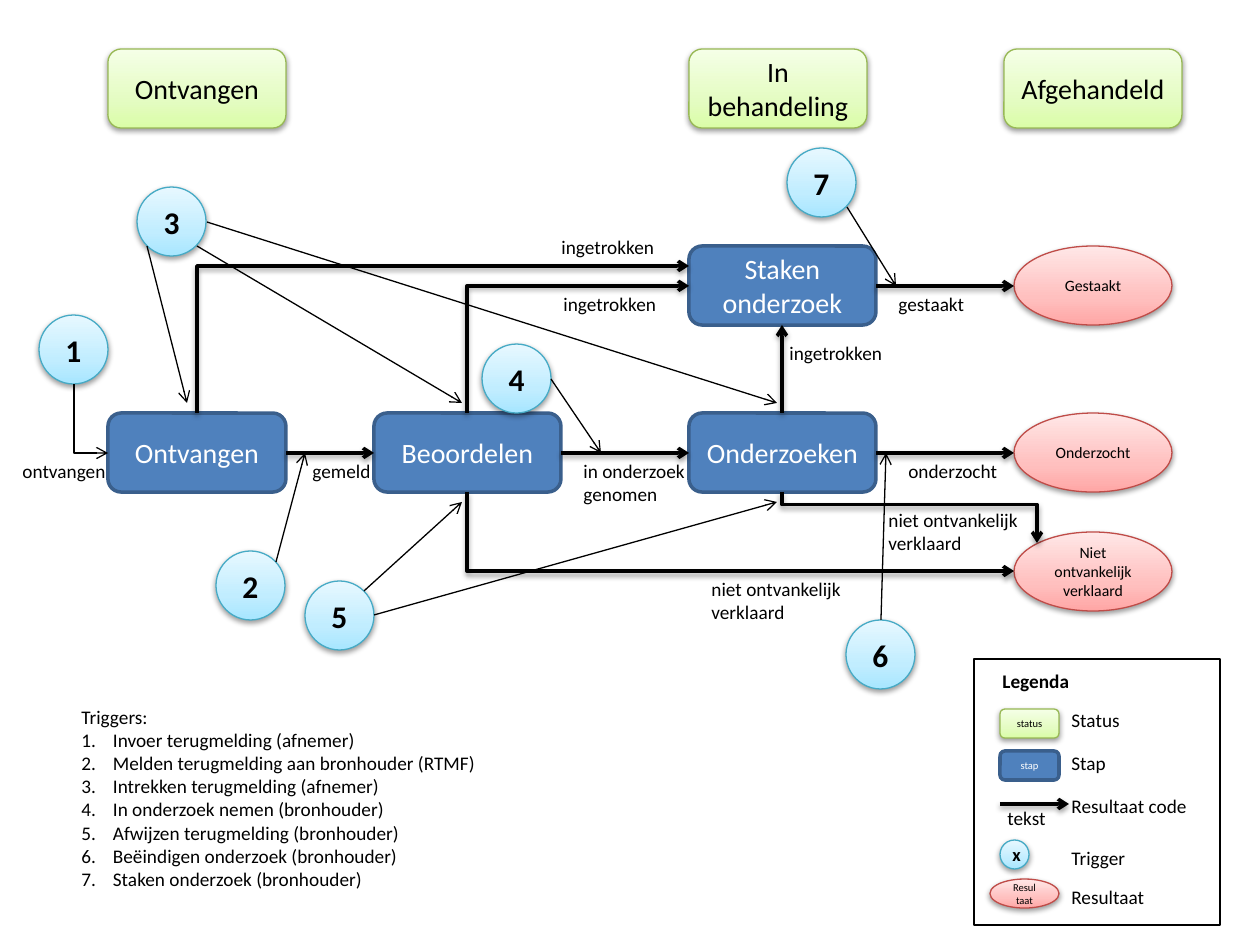
from copy import deepcopy
from dataclasses import dataclass

from lxml.etree import SubElement
from pptx import Presentation
from pptx.dml.color import RGBColor as RGB
from pptx.enum.shapes import MSO_CONNECTOR as CONN, MSO_SHAPE as SHAPE
from pptx.enum.text import MSO_ANCHOR as ANCHOR, MSO_AUTO_SIZE as AUTO, PP_ALIGN as ALIGN
from pptx.oxml.ns import qn
from pptx.util import Emu, Pt


@dataclass(frozen=True)
class Kind:
    geometry: object
    fill: tuple
    line: str
    weight: float
    size: float
    small: float
    color: str = "000000"
    bold: bool = False


@dataclass(frozen=True)
class Theme:
    font: str = "Calibri"
    ink: str = "000000"
    label: float = 11
    thin: float = 0.75
    thick: float = 2
    status: Kind = Kind(SHAPE.ROUNDED_RECTANGLE, ("DAFDA7", "E4FCC2", "F5FFE7"),
                        "98B955", 0.75, 16, 6)
    step: Kind = Kind(SHAPE.ROUNDED_RECTANGLE, ("4F81BD",), "3A5F8C", 2, 16, 6, "FFFFFF")
    trigger: Kind = Kind(SHAPE.OVAL, ("A7E6FF", "C1EDFF", "E7F8FF"),
                         "46AAC5", 0.75, 18, 10.5, bold=True)
    result: Kind = Kind(SHAPE.OVAL, ("FFA6A5", "FFC0BF", "FFE7E7"), "BF4C48", 0.75, 9, 6)


T = Theme()
ROW_H, CIRCLE, RESULT_W = 79, 69, 158
STAKEN_Y, MAIN_Y, REJECT_Y = 246, 413, 532

STATUSES = [("Ontvangen", 108), ("In behandeling", 689), ("Afgehandeld", 1004)]
STEPS = [("Ontvangen", 108, MAIN_Y, 178), ("Beoordelen", 374, MAIN_Y, 187),
         ("Onderzoeken", 689, MAIN_Y, 187), ("Staken onderzoek", 689, STAKEN_Y, 187)]
RESULTS = [("Gestaakt", STAKEN_Y), ("Onderzocht", MAIN_Y),
           ("Niet ontvankelijk\nverklaard", REJECT_Y)]
TRIGGERS = [(39, 315), (216, 551), (137, 187), (482, 344), (305, 581), (846, 620), (787, 148)]
FLOWS = [(286, 453, 374, 453), (561, 453, 689, 453), (876, 453, 1014, 453),
         (876, 286, 1014, 286), (782, 413, 782, 325)]
BENT_FLOWS = [(197, 413, 689, 266), (467, 413, 689, 286), (467, 492, 1014, 571)]
TRIGGER_ARROWS = [(276, 562, 305, 453), (147, 246, 187, 403), (197, 246, 462, 403),
                  (207, 222, 777, 403), (551, 379, 601, 453), (364, 591, 462, 502),
                  (374, 615, 777, 502), (881, 620, 886, 453), (847, 207, 896, 286)]
LABELS = [("ontvangen", 10, 453, 110), ("gemeld", 300, 453, 84),
          ("in onderzoek\ngenomen", 571, 453, 129), ("onderzocht", 896, 453, 115),
          ("ingetrokken", 549, 229, 120), ("ingetrokken", 551, 286, 120),
          ("ingetrokken", 777, 335, 120), ("gestaakt", 886, 286, 92),
          ("niet ontvankelijk\nverklaard", 699, 571, 156),
          ("niet ontvankelijk\nverklaard", 876, 502, 156)]
LEGEND_LABELS = [("Status", 702, 74), ("Stap", 745, 62), ("Resultaat code", 788, 142),
                 ("Trigger", 840, 81), ("Resultaat", 879, 100)]
TRIGGER_LIST = ["Invoer terugmelding (afnemer)", "Melden terugmelding aan bronhouder (RTMF)",
                "Intrekken terugmelding (afnemer)", "In onderzoek nemen (bronhouder)",
                "Afwijzen terugmelding (bronhouder)", "Beëindigen onderzoek (bronhouder)",
                "Staken onderzoek (bronhouder)"]


def px(*values):
    return [Emu(round(v * 914400 / 126)) for v in values]


def write(tf, text, size, color=T.ink, bold=False, align=ALIGN.LEFT):
    for i, line in enumerate(text.split("\n")):
        p = tf.add_paragraph() if i else tf.paragraphs[0]
        p.alignment = align
        r = p.add_run()
        r.text = line
        for name, value in dict(name=T.font, size=Pt(size), bold=bold).items():
            setattr(r.font, name, value)
        r.font.color.rgb = RGB.from_string(color)


def add_shadow(effects):
    shadow = SubElement(effects, qn("a:outerShdw"), blurRad="40000", dist="20000",
                        dir="5400000", rotWithShape="0")
    color = SubElement(shadow, qn("a:srgbClr"), val=T.ink)
    SubElement(color, qn("a:alpha"), val="38000")


def fill_gradient(sp, colors):
    sp.fill.gradient()
    sp.fill.gradient_angle = 90
    stops = sp._element.spPr.find(".//" + qn("a:gsLst"))
    stops.insert(1, deepcopy(stops[0]))
    for stop, position, color in zip(sp.fill.gradient_stops, (0, 0.35, 1), colors):
        stop.position = position
        stop.color.rgb = RGB.from_string(color)


def add_node(s, kind, text, x, y, w, h, small=False):
    sp = s.shapes.add_shape(kind.geometry, *px(x, y, w, h))
    sp.shadow.inherit = False
    if len(kind.fill) > 1:
        fill_gradient(sp, kind.fill)
        add_shadow(sp._element.spPr.find(qn("a:effectLst")))
    else:
        sp.fill.solid()
        sp.fill.fore_color.rgb = RGB.from_string(kind.fill[0])
    sp.line.color.rgb = RGB.from_string(kind.line)
    sp.line.width = Pt(kind.weight)
    sp.text_frame.vertical_anchor = ANCHOR.MIDDLE
    write(sp.text_frame, text, kind.small if small else kind.size,
          kind.color, kind.bold, ALIGN.CENTER)


def add_label(s, text, x, y, w, bold=False):
    h = 13 + 23 * len(text.split("\n"))
    tf = s.shapes.add_textbox(*px(x, y, w, h)).text_frame
    tf.word_wrap = False
    tf.auto_size = AUTO.SHAPE_TO_FIT_TEXT
    write(tf, text, T.label, bold=bold)
    return tf


def add_arrow(s, x0, y0, x1, y1, weight, kind=CONN.STRAIGHT):
    c = s.shapes.add_connector(kind, *px(x0, y0, x1, y1))
    c.line.color.rgb = RGB.from_string(T.ink)
    c.line.width = Pt(weight)
    SubElement(c.line._get_or_add_ln(), qn("a:tailEnd"), type="arrow")
    effects = SubElement(c._element.spPr, qn("a:effectLst"))
    if weight == T.thick:
        add_shadow(effects)
    return c


def add_bent_arrow(s, x0, y0, x1, y1, weight, middle=None):
    """Leave vertically; with middle, turn again at that share of the height."""
    c = add_arrow(s, x0, y0, x1, y1, weight, CONN.ELBOW)
    w, h = abs(y1 - y0), abs(x1 - x0)
    c.left, c.top, c.width, c.height = px((x0 + x1 - w) / 2, (y0 + y1 - h) / 2, w, h)
    up = y1 < y0
    xfrm = c._element.spPr.find(qn("a:xfrm"))
    for name, value in dict(rot="5400000" if up else "16200000",
                            flipH="1", flipV="1" if up else "0").items():
        xfrm.set(name, value)
    geometry = c._element.spPr.find(qn("a:prstGeom"))
    if middle is None:
        geometry.set("prst", "bentConnector2")
    else:
        SubElement(geometry.find(qn("a:avLst")), qn("a:gd"), name="adj1",
                   fmla=f"val {round(middle * 100000)}")


def add_legend(s):
    frame = s.shapes.add_shape(SHAPE.RECTANGLE, *px(974, 659, 246, 266))
    frame.shadow.inherit = False
    frame.fill.background()
    frame.line.color.rgb = RGB.from_string(T.ink)
    frame.line.width = Pt(1)
    add_label(s, "Legenda", 990, 663, 92, bold=True)
    for text, y, w in LEGEND_LABELS:
        add_label(s, text, 1059, y, w)
    add_node(s, T.status, "status", 1000, 709, 59, 29, small=True)
    add_node(s, T.step, "stap", 1000, 751, 59, 29, small=True)
    add_arrow(s, 1000, 804, 1069, 804, T.thick)
    add_label(s, "tekst", 995, 800, 64)
    add_node(s, T.trigger, "x", 1000, 840, 29, 29, small=True)
    add_node(s, T.result, "Resultaat", 990, 879, 69, 29, small=True)


def add_trigger_list(s):
    tf = add_label(s, "\n".join(["Triggers:"] + TRIGGER_LIST), 69, 699, 422)
    for p in tf.paragraphs[1:]:
        pPr = p._p.get_or_add_pPr()
        for name, value in dict(marL="228600", indent="-228600").items():
            pPr.set(name, value)
        SubElement(pPr, qn("a:buFont"), typeface="+mj-lt")
        SubElement(pPr, qn("a:buAutoNum"), type="arabicPeriod")


def main():
    prs = Presentation()
    prs.slide_width, prs.slide_height = px(1260, 945)
    s = prs.slides.add_slide(prs.slide_layouts[6])

    # Statuses, steps and results
    for text, x in STATUSES:
        add_node(s, T.status, text, x, 49, 178, ROW_H)
    for text, x, y, w in STEPS:
        add_node(s, T.step, text, x, y, w, ROW_H)
    for text, y in RESULTS:
        add_node(s, T.result, text, 1014, y, RESULT_W, ROW_H)

    # Flow between the steps
    for ends in FLOWS:
        add_arrow(s, *ends, T.thick)
    for ends in BENT_FLOWS:
        add_bent_arrow(s, *ends, T.thick)
    add_bent_arrow(s, 782, 492, 1037, 543, T.thick, middle=0.25)

    # Numbered triggers
    for number, (x, y) in enumerate(TRIGGERS, 1):
        add_node(s, T.trigger, str(number), x, y, CIRCLE, CIRCLE)
    for ends in TRIGGER_ARROWS:
        add_arrow(s, *ends, T.thin)
    add_bent_arrow(s, 74, 384, 108, 453, T.thin)

    # Result codes, legend and explanation
    for label in LABELS:
        add_label(s, *label)
    add_legend(s)
    add_trigger_list(s)
    prs.save("out.pptx")


main()
